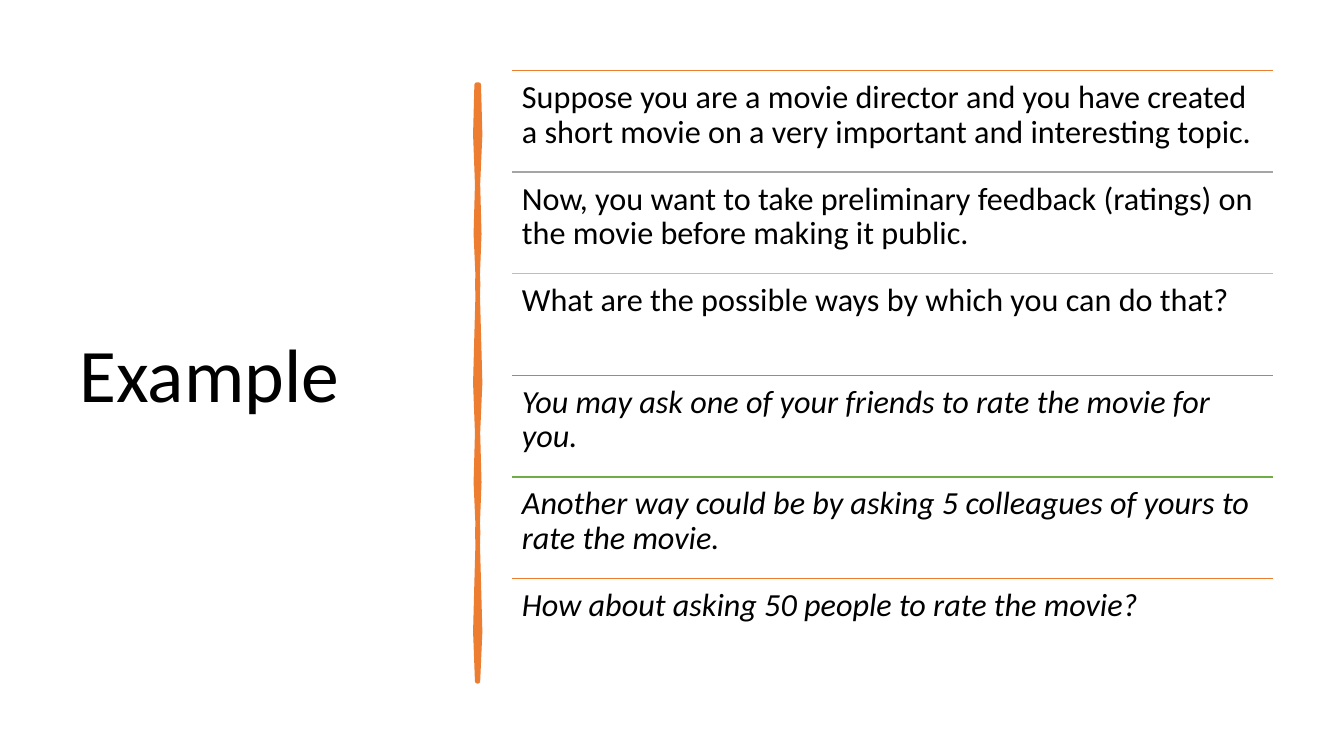
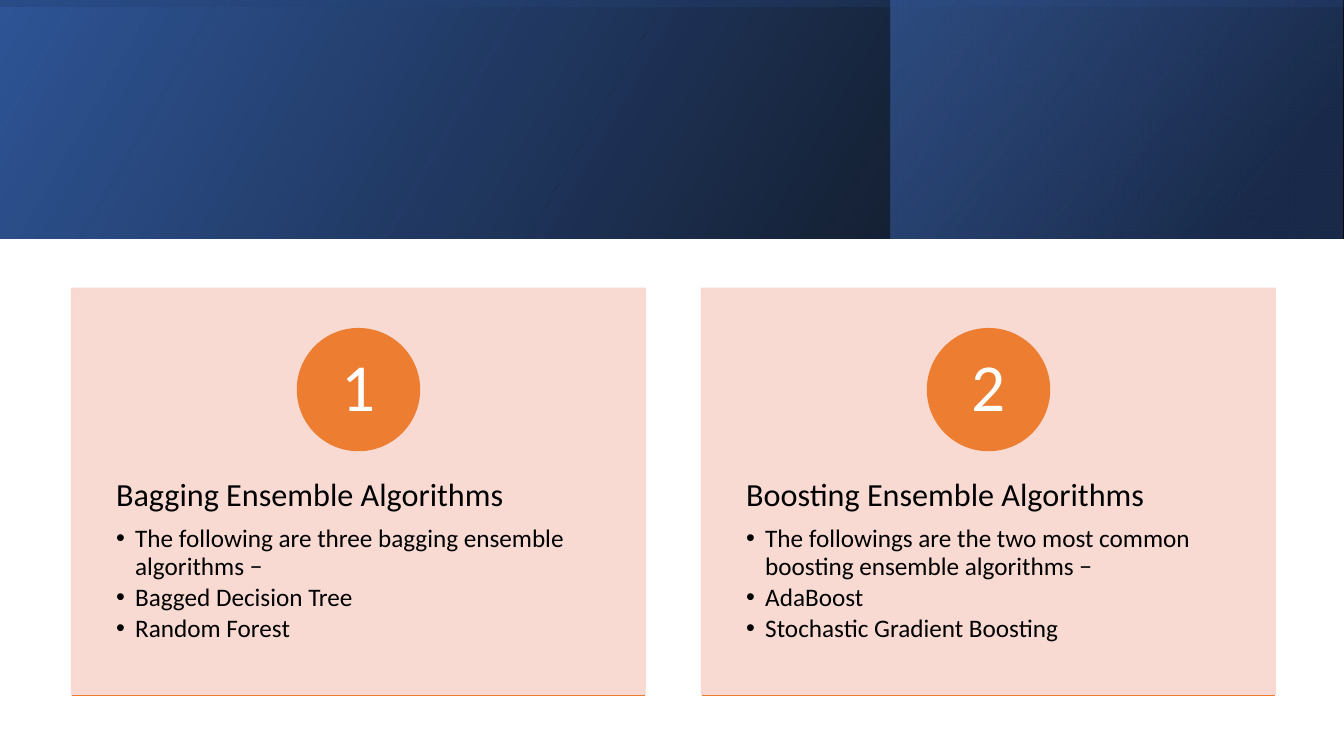
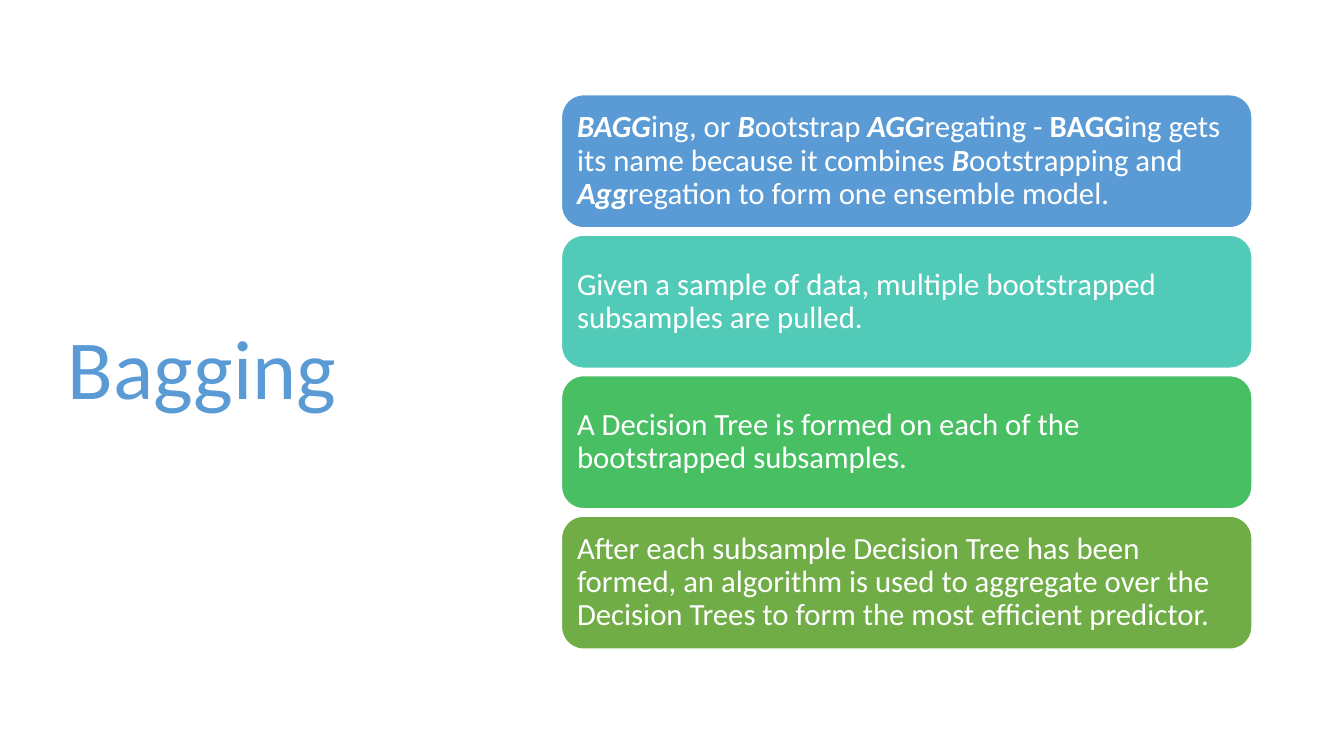
from itertools import cycle

from lxml.etree import SubElement
from pptx import Presentation
from pptx.dml.color import RGBColor
from pptx.enum.shapes import MSO_CONNECTOR, MSO_SHAPE
from pptx.enum.text import MSO_ANCHOR, MSO_AUTO_SIZE, PP_ALIGN
from pptx.oxml.ns import qn
from pptx.util import Inches, Pt

# Shared look
WIDTH, HEIGHT = Inches(13.333), Inches(7.5)
FONT = "Calibri"
TITLE_ONLY, TWO_CONTENT = 5, 3
COLOURS = {
    "black": "000000", "white": "FFFFFF", "orange": "ED7D31", "grey": "A5A5A5",
    "gold": "FFC000", "blue": "5B9BD5", "green": "70AD47", "peach": "F8D7CE",
    "teal": "52CAB8", "emerald": "49BF64", "navy": "203864", "royal": "2F5597",
    "azure": "4472C4",
}

# Slide content
EXAMPLE_ROWS = [
    ("orange", "", "Suppose you are a movie director and you have created a short movie "
                   "on a very important and interesting topic."),
    ("grey", "", "Now, you want to take preliminary feedback (ratings) on the movie "
                 "before making it public."),
    ("gold", "", "What are the possible ways by which you can do that?"),
    ("blue", "i", "You may ask one of your friends to rate the movie for you."),
    ("green", "i", "Another way could be by asking 5 colleagues of yours to rate the movie."),
    ("orange", "i", "How about asking 50 people to rate the movie?"),
]
ALGORITHM_CARDS = [
    ("Bagging Ensemble Algorithms",
     ["The following are three bagging ensemble algorithms −",
      "Bagged Decision Tree", "Random Forest"]),
    ("Boosting Ensemble Algorithms",
     ["The followings are the two most common boosting ensemble algorithms −",
      "AdaBoost", "Stochastic Gradient Boosting"]),
]
BAGGING_STEPS = [
    ("blue", [("BAGG", "bi"), ("ing, or ", ""), ("B", "bi"), ("ootstrap ", ""),
              ("AGG", "bi"), ("regating - ", ""), ("BAGG", "b"),
              ("ing gets its name because it combines ", ""), ("B", "bi"),
              ("ootstrapping and ", ""), ("Agg", "bi"),
              ("regation to form one ensemble model.", "")]),
    ("teal", [("Given a sample of data, multiple bootstrapped subsamples are pulled.", "")]),
    ("emerald", [("A Decision Tree is formed on each of the bootstrapped subsamples.", "")]),
    ("green", [("After each subsample Decision Tree has been formed, an algorithm is used "
                "to aggregate over the Decision Trees to form the most efficient "
                "predictor.", "")]),
]


# Measures: all lengths are percentages of the slide's width and height
def across(share):
    return round(WIDTH * share / 100)


def down(share):
    return round(HEIGHT * share / 100)


def area(left, top, width, height):
    return across(left), down(top), across(width), down(height)


def rgb(name):
    return RGBColor.from_string(COLOURS[name])


def set_all(target, values):
    for name, value in values.items():
        setattr(target, name, value)


# Text
def frame_format(box, anchor, inset_x, inset_y):
    set_all(box.text_frame, {
        "word_wrap": True, "auto_size": MSO_AUTO_SIZE.NONE, "vertical_anchor": anchor,
        "margin_left": Inches(inset_x), "margin_right": Inches(inset_x),
        "margin_top": Inches(inset_y), "margin_bottom": Inches(inset_y)})


def write(para, spans, size, colour, align=PP_ALIGN.LEFT, after=0):
    set_all(para, {"alignment": align, "line_spacing": 0.9,
                   "space_before": Pt(0), "space_after": Pt(after)})
    for text, style in spans:
        span = para.add_run()
        span.text = text
        set_all(span.font, {"name": FONT, "size": Pt(size),
                            "bold": "b" in style, "italic": "i" in style})
        span.font.color.rgb = rgb(colour)


def set_bullet(para, indent=0):
    props = para._p.get_or_add_pPr()
    props.set("marL", str(Inches(indent)))
    props.set("indent", str(-Inches(indent)))
    if indent:
        SubElement(props, qn("a:buFont")).set("typeface", "Arial")
        SubElement(props, qn("a:buChar")).set("char", "•")
    else:
        SubElement(props, qn("a:buNone"))


def place(box, bounds):
    set_all(box, dict(zip(("left", "top", "width", "height"), bounds)))


def add_title(page, text, bounds, size, colour):
    title = page.shapes.title
    place(title, bounds)
    frame_format(title, MSO_ANCHOR.MIDDLE, 0.1, 0.05)
    write(title.text_frame.paragraphs[0], [(text, "")], size, colour)


# Shapes
def paint(shape, fill, line, line_width=1):
    shape.shadow.inherit = False
    shape.fill.solid()
    shape.fill.fore_color.rgb = rgb(fill)
    shape.line.color.rgb = rgb(line)
    shape.line.width = Pt(line_width)


def set_opacity(shape, shares):
    for colour, share in zip(shape._element.spPr.iter(qn("a:srgbClr")), shares):
        SubElement(colour, qn("a:alpha")).set("val", str(share * 1000))


def add_rule(page, left, top, width, colour):
    rule = page.shapes.add_connector(MSO_CONNECTOR.STRAIGHT, across(left), down(top),
                                     across(left + width), down(top))
    rule.line.color.rgb = rgb(colour)
    rule.line.width = Pt(1)
    SubElement(rule._element.spPr, qn("a:effectLst"))


def add_gradient(page, bounds, angle, stops, rotation=0):
    band = page.shapes.add_shape(MSO_SHAPE.RECTANGLE, *bounds)
    band.shadow.inherit = False
    band.rotation = rotation
    band._element.spPr.xfrm.set("flipH", "1")
    band.line.fill.background()
    band.fill.gradient()
    band.fill.gradient_angle = 360 - angle
    for stop, (position, colour, _) in zip(band.fill.gradient_stops, stops):
        stop.position = position / 100
        stop.color.rgb = rgb(colour)
    set_opacity(band, [opacity for *_, opacity in stops])


def add_brush_bar(page, left, right, top, bottom, steps=12):
    wobble = cycle((0, 0.1, -0.06, 0.04, -0.1))
    levels = [top + (bottom - top) * step / steps for step in range(steps + 1)]
    outline = [(right + next(wobble), level) for level in levels]
    outline += [(left + next(wobble), level) for level in reversed(levels)]
    points = [(across(x), down(y)) for x, y in outline]
    builder = page.shapes.build_freeform(*points[0])
    builder.add_line_segments(points[1:], close=True)
    paint(builder.convert_to_shape(), "orange", "orange", 3.25)


def add_card(page, number, left, heading, points):
    width, circle = 42.68, 9.08
    card = page.shapes.add_shape(MSO_SHAPE.RECTANGLE, *area(left, 38.13, width, 53.73))
    paint(card, "peach", "peach")
    set_opacity(card, (90, 90))

    # List placeholder, brought in front of its card
    body = page.placeholders[number]
    page.shapes._spTree.append(body._element)
    place(body, area(left, 58.53, width, 32.27))
    frame_format(body, MSO_ANCHOR.TOP, 0.44, 0.36)
    para = body.text_frame.paragraphs[0]
    write(para, [(heading, "")], 23, "black", after=9)
    set_bullet(para)
    for point in points:
        para = body.text_frame.add_paragraph()
        write(para, [(point, "")], 18, "black", after=2.8)
        set_bullet(para, 0.19)

    badge = page.shapes.add_shape(
        MSO_SHAPE.OVAL, *area(left + (width - circle) / 2, 43.47, circle, 16.13))
    paint(badge, "orange", "orange")
    frame_format(badge, MSO_ANCHOR.MIDDLE, 0.09, 0.01)
    write(badge.text_frame.paragraphs[0], [(str(number), "")], 48, "white", PP_ALIGN.CENTER)
    add_rule(page, left, 92, width, "orange")


# Slides
def example_slide(page):
    add_title(page, "Example", area(5.18, 9.33, 28.05, 81.47), 54, "black")
    add_brush_bar(page, 35.47, 35.62, 11.2, 90.13)
    left, top, width, row = 38.1, 9.33, 56.63, 13.44
    for index, (colour, style, text) in enumerate(EXAMPLE_ROWS):
        row_top = top + index * row
        add_rule(page, left, row_top, width, colour)
        box = page.shapes.add_textbox(*area(left, row_top, width, row))
        frame_format(box, MSO_ANCHOR.TOP, 0.1, 0.1)
        write(box.text_frame.paragraphs[0], [(text, style)], 23, "black")


def algorithms_slide(page):
    title = page.shapes.title._element
    title.getparent().remove(title)
    band = 31.6
    add_gradient(page, area(0, 0, 100, band), 330, [(0, "black", 96), (100, "royal", 100)])
    add_gradient(page, area(66.3, 0, 33.6, band), 320, [(19, "navy", 68), (100, "azure", 48)])
    # Upright panel turned on its side to cover the band
    add_gradient(page, area(41.11, -73.09, 17.78, 177.78), 350,
                 [(23, "royal", 16), (99, "black", 45)], rotation=270)
    for index, (heading, points) in enumerate(ALGORITHM_CARDS):
        add_card(page, index + 1, 5.33 + index * 46.88, heading, points)


def bagging_slide(page):
    add_title(page, "Bagging", area(4.28, 9.07, 31.2, 80.27), 60, "blue")
    for index, (colour, spans) in enumerate(BAGGING_STEPS):
        step = page.shapes.add_shape(MSO_SHAPE.ROUNDED_RECTANGLE,
                                     *area(41.78, 12.53 + index * 18.58, 51.38, 17.6))
        paint(step, colour, "white")
        frame_format(step, MSO_ANCHOR.MIDDLE, 0.09, 0.09)
        write(step.text_frame.paragraphs[0], spans, 22, "white")


def main():
    deck = Presentation()
    set_all(deck, {"slide_width": WIDTH, "slide_height": HEIGHT})
    for layout, build in ((TITLE_ONLY, example_slide), (TWO_CONTENT, algorithms_slide),
                          (TITLE_ONLY, bagging_slide)):
        build(deck.slides.add_slide(deck.slide_layouts[layout]))
    deck.save("out.pptx")


if __name__ == "__main__":
    main()
